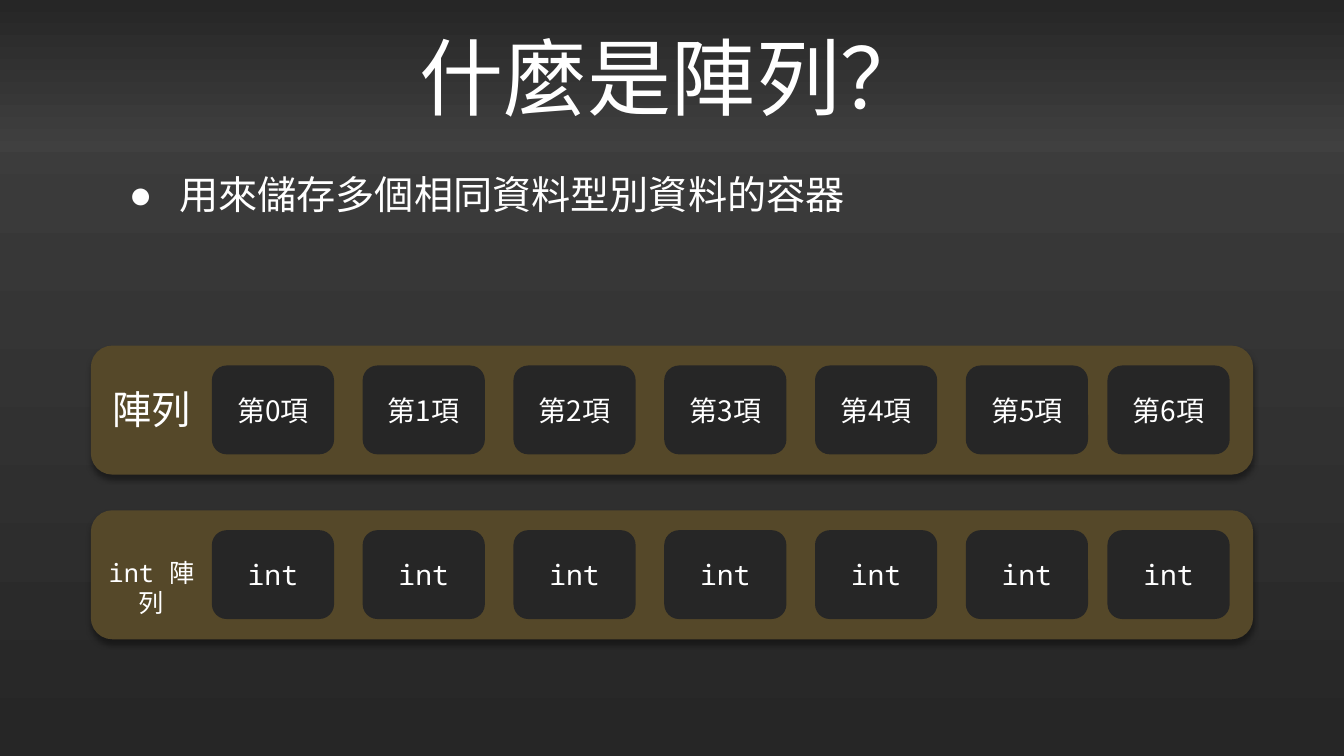
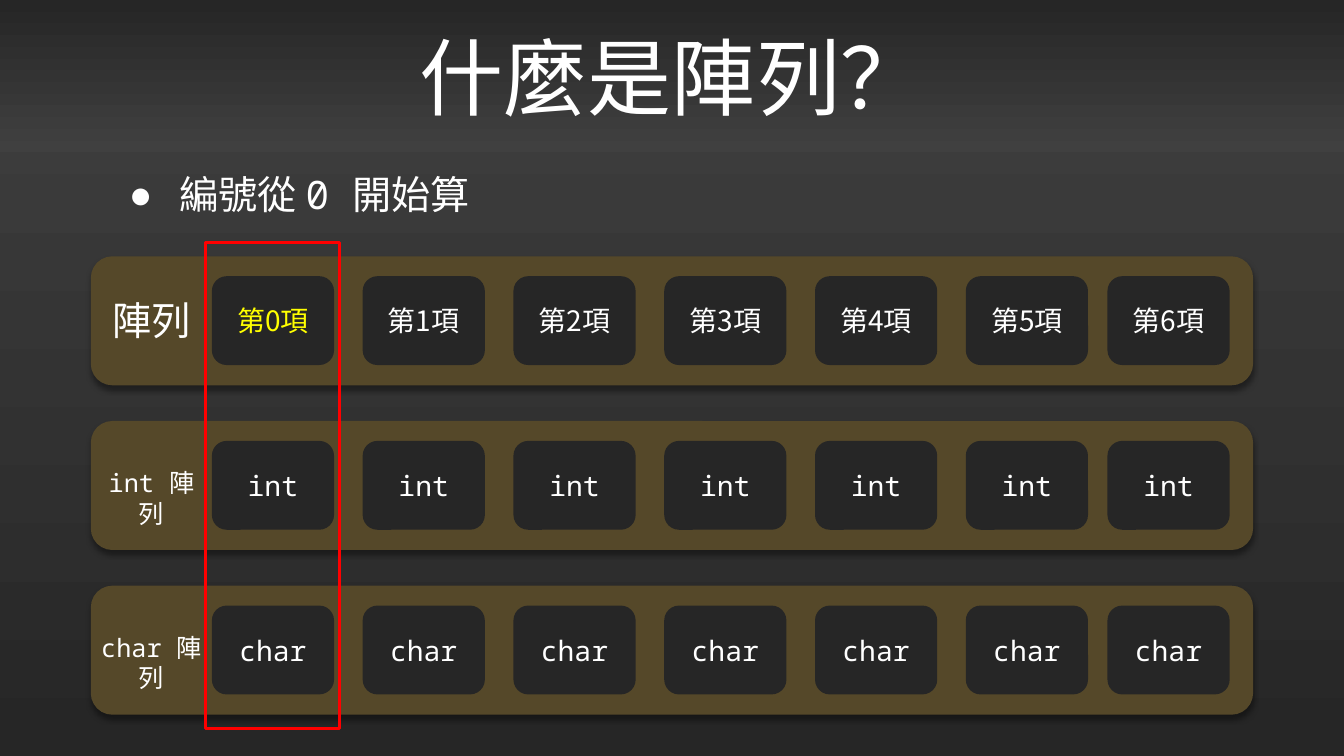
from dataclasses import dataclass

import lxml.etree
import pptx
import pptx.dml.color
import pptx.dml.fill
import pptx.enum.shapes
import pptx.enum.text
import pptx.oxml
import pptx.oxml.ns
import pptx.shapes.autoshape
import pptx.shapes.shapetree
import pptx.slide
import pptx.text.text
import pptx.util

Cm = pptx.util.Cm
Pt = pptx.util.Pt
qn = pptx.oxml.ns.qn
SHAPE = pptx.enum.shapes.MSO_SHAPE

COLOURS = {
    "white": "FFFFFF",
    "yellow": "FFFF00",
    "red": "FF0000",
    "black": "000000",
    "bronze": "554829",
    "dark": "262626",
    "grey": "404040",
}
CJK = "Noto Sans CJK SC"
MONO = "Noto Sans Mono"

SLIDE_WIDTH, SLIDE_HEIGHT = 33.87, 19.05
TITLE_HEIGHT = 3.84
ROW_LEFT, ROW_WIDTH, ROW_HEIGHT, ROW_PITCH = 2.29, 29.29, 3.25, 4.15
CELL_WIDTH, CELL_HEIGHT, CELL_INSET = 3.08, 2.24, 0.5
CELL_LEFTS = [5.34 + 3.8 * index for index in range(6)] + [27.91]
LABEL_CENTRE = 3.82


@dataclass(frozen=True)
class Span:
    text: str
    latin: str = CJK
    east_asian: str = CJK


@dataclass(frozen=True)
class Row:
    label: tuple[Span, ...]
    label_width: float
    label_offset: float
    label_size: int
    cells: tuple[Span, ...]
    first_colour: str = "white"


@dataclass(frozen=True)
class Page:
    bullet: tuple[Span, ...]
    rows_top: float
    rows: tuple[Row, ...]
    frame_first: bool = False


def colour(name: str) -> pptx.dml.color.RGBColor:
    return pptx.dml.color.RGBColor.from_string(COLOURS[name])


def set_typeface(font: pptx.text.text.Font, span: Span) -> None:
    font.name = span.latin
    east_asian = lxml.etree.SubElement(font._rPr, qn("a:ea"))
    east_asian.set("typeface", span.east_asian)


def write(para: pptx.text.text._Paragraph, spans: tuple[Span, ...], size: int,
          colour_name: str = "white") -> None:
    para.font.size = Pt(size)
    para.font.color.rgb = colour(colour_name)
    if len(spans) == 1:
        set_typeface(para.font, spans[0])
    for item in spans:
        span = para.add_run()
        span.text = item.text
        if len(spans) > 1:
            set_typeface(span.font, item)


def fill_gradient(fill: pptx.dml.fill.FillFormat, top: str, bottom: str) -> None:
    fill.gradient()
    fill.gradient_angle = 270
    for stop, name in zip(fill.gradient_stops, (top, bottom)):
        stop.color.rgb = colour(name)


def add_box(shapes: pptx.shapes.shapetree._BaseGroupShapes, kind: SHAPE, left: float,
            top: float, width: float, height: float,
            fill: str | None = None) -> pptx.shapes.autoshape.Shape:
    box = shapes.add_shape(kind, Cm(left), Cm(top), Cm(width), Cm(height))
    box.shadow.inherit = False
    box.line.fill.background()
    if fill:
        box.fill.solid()
        box.fill.fore_color.rgb = colour(fill)
    else:
        box.fill.background()
    return box


def add_drop_shadow(box: pptx.shapes.autoshape.Shape) -> None:
    effects = box._element.spPr.find(qn("a:effectLst"))
    effects.append(pptx.oxml.parse_xml(
        f'<a:outerShdw {pptx.oxml.ns.nsdecls("a")} blurRad="{Pt(4)}" dist="{Pt(3)}" '
        'dir="5400000" algn="t" rotWithShape="0">'
        f'<a:srgbClr val="{COLOURS["black"]}"><a:alpha val="40000"/></a:srgbClr>'
        '</a:outerShdw>'))


def centre_text(box: pptx.shapes.autoshape.Shape, spans: tuple[Span, ...], size: int,
                colour_name: str = "white") -> None:
    frame = box.text_frame
    frame.word_wrap = True
    para = frame.paragraphs[0]
    para.alignment = pptx.enum.text.PP_ALIGN.CENTER
    write(para, spans, size, colour_name)


def add_title(slide: pptx.slide.Slide) -> None:
    band = add_box(slide.shapes, SHAPE.RECTANGLE, 0, 0, SLIDE_WIDTH, TITLE_HEIGHT)
    fill_gradient(band.fill, "dark", "grey")
    band.text_frame.vertical_anchor = pptx.enum.text.MSO_ANCHOR.MIDDLE
    centre_text(band, (Span("什麼是陣列？"),), 60)


def add_bullet(slide: pptx.slide.Slide, spans: tuple[Span, ...]) -> None:
    box = slide.shapes.add_textbox(Cm(3), Cm(TITLE_HEIGHT), Cm(27.5), Cm(2.26))
    frame = box.text_frame
    frame.word_wrap = True
    frame.vertical_anchor = pptx.enum.text.MSO_ANCHOR.MIDDLE
    para = frame.paragraphs[0]
    para.line_spacing = 0.9
    properties = para._p.get_or_add_pPr()
    properties.set("marL", str(Cm(1.27)))
    properties.set("indent", str(Cm(-1.27)))
    bullet_colour = lxml.etree.SubElement(properties, qn("a:buClr"))
    lxml.etree.SubElement(bullet_colour, qn("a:srgbClr")).set("val", COLOURS["white"])
    lxml.etree.SubElement(properties, qn("a:buFont")).set("typeface", "Arial")
    lxml.etree.SubElement(properties, qn("a:buChar")).set("char", "●")
    write(para, spans, 28)


def add_row(slide: pptx.slide.Slide, row: Row, top: float) -> None:
    shapes = slide.shapes.add_group_shape().shapes
    panel = add_box(shapes, SHAPE.ROUNDED_RECTANGLE, ROW_LEFT, top, ROW_WIDTH,
                    ROW_HEIGHT, "bronze")
    add_drop_shadow(panel)

    label = shapes.add_textbox(
        Cm(LABEL_CENTRE - row.label_width / 2), Cm(top + row.label_offset),
        Cm(row.label_width), Cm(1.45))
    centre_text(label, row.label, row.label_size)

    for index, (left, span) in enumerate(zip(CELL_LEFTS, row.cells)):
        cell = add_box(shapes, SHAPE.ROUNDED_RECTANGLE, left, top + CELL_INSET,
                       CELL_WIDTH, CELL_HEIGHT, "dark")
        cell.text_frame.vertical_anchor = pptx.enum.text.MSO_ANCHOR.MIDDLE
        centre_text(cell, (span,), 20, row.first_colour if index == 0 else "white")


def add_frame(slide: pptx.slide.Slide) -> None:
    """Outline the first cell of every row."""
    frame = add_box(slide.shapes, SHAPE.RECTANGLE, 5.18, 6.12, 3.38, 12.24)
    frame.line.color.rgb = colour("red")
    frame.line.width = Pt(2)


def index_row(first_colour: str = "white") -> Row:
    cells = tuple(Span(f"第{index}項") for index in range(len(CELL_LEFTS)))
    return Row((Span("陣列"),), 2.8, 0.88, 28, cells, first_colour)


def type_row(name: str, label: tuple[Span, ...], label_width: float) -> Row:
    cells = (Span(name, MONO, MONO),) * len(CELL_LEFTS)
    return Row(label, label_width, 1.05, 18, cells)


PAGES = (
    Page(
        bullet=(Span("用來儲存多個相同資料型別資料的容器", "Arial"),),
        rows_top=8.71,
        rows=(
            index_row(),
            type_row("int", (Span("int ", MONO), Span("陣列")), 3.02),
        ),
    ),
    Page(
        bullet=(Span("編號從 ", "Arial"), Span("0 ", MONO, MONO), Span("開始算", "Arial")),
        rows_top=6.46,
        rows=(
            index_row("yellow"),
            type_row("int", (Span("int 陣列", MONO, MONO),), 3.2),
            type_row("char", (Span("char 陣列", MONO, MONO),), 3.56),
        ),
        frame_first=True,
    ),
)


def main() -> None:
    deck = pptx.Presentation()
    deck.slide_width = Cm(SLIDE_WIDTH)
    deck.slide_height = Cm(SLIDE_HEIGHT)
    for page in PAGES:
        slide = deck.slides.add_slide(deck.slide_layouts[6])
        fill_gradient(slide.background.fill, "grey", "dark")
        add_title(slide)
        add_bullet(slide, page.bullet)
        for index, row in enumerate(page.rows):
            add_row(slide, row, page.rows_top + index * ROW_PITCH)
        if page.frame_first:
            add_frame(slide)
    deck.save("out.pptx")


if __name__ == "__main__":
    main()
